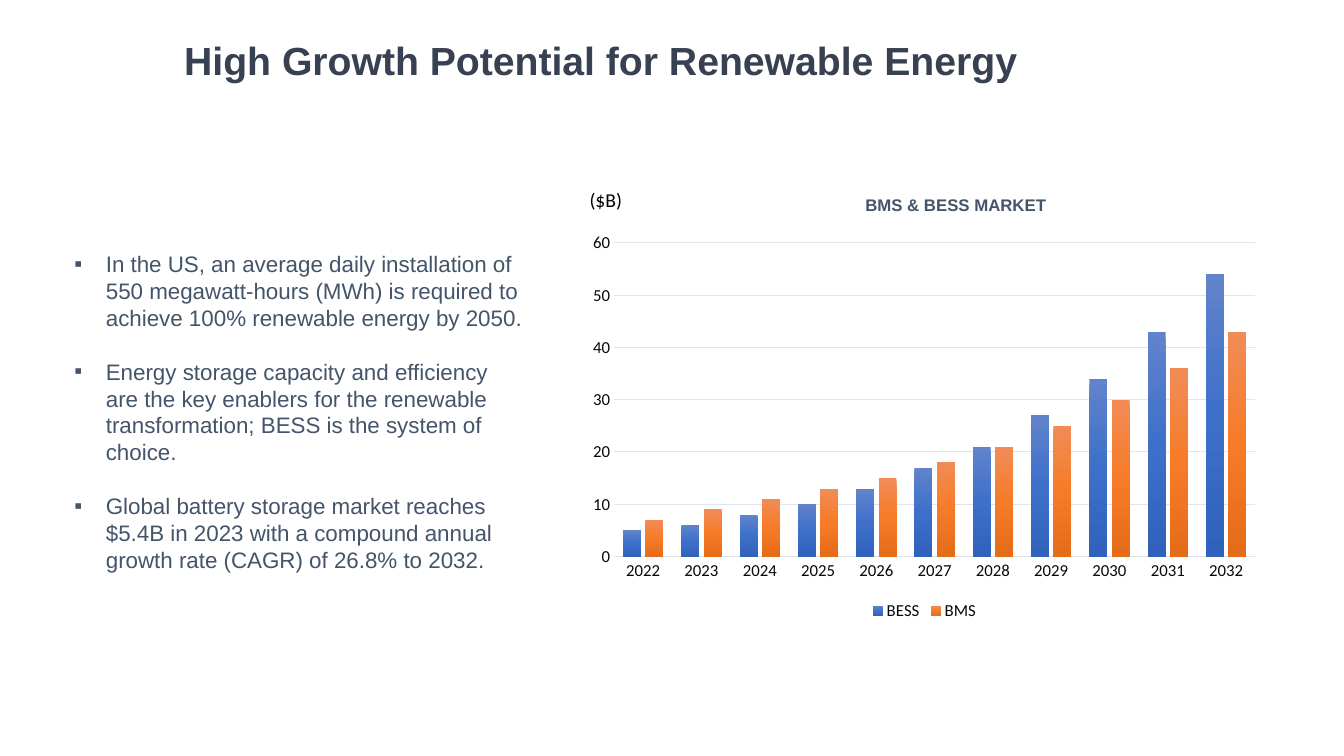
import pptx
import pptx.chart.data
import pptx.dml.color
import pptx.enum.chart
import pptx.enum.text
import pptx.oxml
import pptx.oxml.ns
import pptx.util
from lxml import etree

Pt = pptx.util.Pt
qn = pptx.oxml.ns.qn

SLATE = "44546A"
INK = "07080B"
GRID = "E0E5EB"
LINE_HEIGHT = 19.2

POINTS = [
    "In the US, an average daily installation of 550 megawatt-hours (MWh) is required to achieve 100% renewable energy by 2050.",
    "Energy storage capacity and efficiency are the key enablers for the renewable transformation; BESS is the system of choice.",
    "Global battery storage market reaches $5.4B in 2023 with a compound annual growth rate (CAGR) of 26.8% to 2032.",
]
MARKET = {
    "BESS": ([5, 6, 8, 10, 13, 17, 21, 27, 34, 43, 54], ["6183CB", "3E70CA", "3062BB"]),
    "BMS": ([7, 9, 11, 13, 15, 18, 21, 25, 30, 36, 43], ["F18C57", "F67B28", "E56C19"]),
}


def rgb(color):
    return pptx.dml.color.RGBColor.from_string(color)


def set_font(font, size, color, name, bold=False):
    font.size = Pt(size)
    font.color.rgb = rgb(color)
    font.name = name
    font.bold = bold


def add_text(s, box, text, size, color, name, bold=False, wrap=False):
    tf = s.shapes.add_textbox(*map(Pt, box)).text_frame
    tf.word_wrap = wrap
    tf.text = text
    for p in tf.paragraphs:
        for r in p.runs:
            set_font(r.font, size, color, name, bold)
    return tf


def add_bullets(s, box, items):
    tf = add_text(s, box, "\n".join(items), 16, SLATE, "Arial", wrap=True)
    tf.margin_top = Pt(3.6 + LINE_HEIGHT)
    for i, p in enumerate(tf.paragraphs):
        p.line_spacing = Pt(LINE_HEIGHT)
        p.space_before = Pt(LINE_HEIGHT if i else 0)
        pPr = p._p.get_or_add_pPr()
        pPr.set("marL", str(Pt(22.5)))
        pPr.set("indent", str(-Pt(22.5)))
        etree.SubElement(pPr, qn("a:buFont"), typeface="Arial")
        etree.SubElement(pPr, qn("a:buChar"), char="▪")


def set_layout(parent, index, inner=False, **fractions):
    for old in parent.findall(qn("c:layout")):
        parent.remove(old)
    layout = etree.Element(qn("c:layout"))
    manual = etree.SubElement(layout, qn("c:manualLayout"))
    if inner:
        etree.SubElement(manual, qn("c:layoutTarget"), val="inner")
    for axis in "xy":
        etree.SubElement(manual, qn(f"c:{axis}Mode"), val="edge")
    for key, value in fractions.items():
        etree.SubElement(manual, qn(f"c:{key}"), val=str(value))
    parent.insert(index, layout)


def fill_gradient(series, colors):
    fill = series.format.fill
    fill.gradient()
    fill.gradient_angle = 270
    stops = series._element.find(".//" + qn("a:gsLst"))
    for stop in list(stops):
        stops.remove(stop)
    for i, color in enumerate(colors):
        stop = etree.SubElement(stops, qn("a:gs"), pos=str(i * 50000))
        etree.SubElement(stop, qn("a:srgbClr"), val=color)


def style_axis(axis):
    axis.major_tick_mark = pptx.enum.chart.XL_TICK_MARK.NONE
    axis.minor_tick_mark = pptx.enum.chart.XL_TICK_MARK.NONE
    set_font(axis.tick_labels.font, 12, INK, "Calibri")


def style_line(line):
    line.color.rgb = rgb(GRID)
    line.width = Pt(0.75)


def add_market_chart(s, box):
    data = pptx.chart.data.CategoryChartData(number_format="0")
    data.categories = [str(year) for year in range(2022, 2033)]
    for name, (values, _) in MARKET.items():
        data.add_series(name, values)
    kind = pptx.enum.chart.XL_CHART_TYPE.COLUMN_CLUSTERED
    chart = s.shapes.add_chart(kind, *map(Pt, box), data).chart
    set_font(chart.font, 10, INK, "Calibri")

    chart.has_title = True
    tf = chart.chart_title.text_frame
    tf.text = "BMS & BESS MARKET"
    set_font(tf.paragraphs[0].runs[0].font, 12, SLATE, "Arial", True)
    set_layout(chart.chart_title._element, 1, x=0.41, y=0.02)
    set_layout(chart._chartSpace.chart.plotArea, 0, inner=True, x=0.05, y=0.135, w=0.93, h=0.71)

    chart.has_legend = True
    chart.legend.position = pptx.enum.chart.XL_LEGEND_POSITION.BOTTOM
    chart.legend.include_in_layout = False
    set_font(chart.legend.font, 12, INK, "Calibri")

    years, amounts = chart.category_axis, chart.value_axis
    style_axis(years)
    style_axis(amounts)
    style_line(years.format.line)
    style_line(amounts.major_gridlines.format.line)
    amounts.format.line.fill.background()
    amounts.minimum_scale, amounts.maximum_scale, amounts.major_unit = 0, 60, 10
    amounts.tick_labels.number_format = "0"
    amounts.tick_labels.number_format_is_linked = False

    plot = chart.plots[0]
    plot.gap_width = 100
    plot.overlap = -24
    plot.vary_by_categories = False
    for series in plot.series:
        fill_gradient(series, MARKET[series.name][1])


def main():
    prs = pptx.Presentation()
    prs.slide_width, prs.slide_height = Pt(960), Pt(540)
    s = prs.slides.add_slide(prs.slide_layouts[6])
    add_bullets(s, (46, 156, 334, 298), POINTS)
    add_text(s, (124.5, 22.5, 624, 41), "High Growth Potential for Renewable Energy", 28, "374151", "Arial", bold=True)
    add_market_chart(s, (414, 131, 492.5, 315.5))
    add_text(s, (414, 131, 38, 24.5), "($B)", 14, "000000", "Calibri")
    prs.save("out.pptx")


if __name__ == "__main__":
    main()
